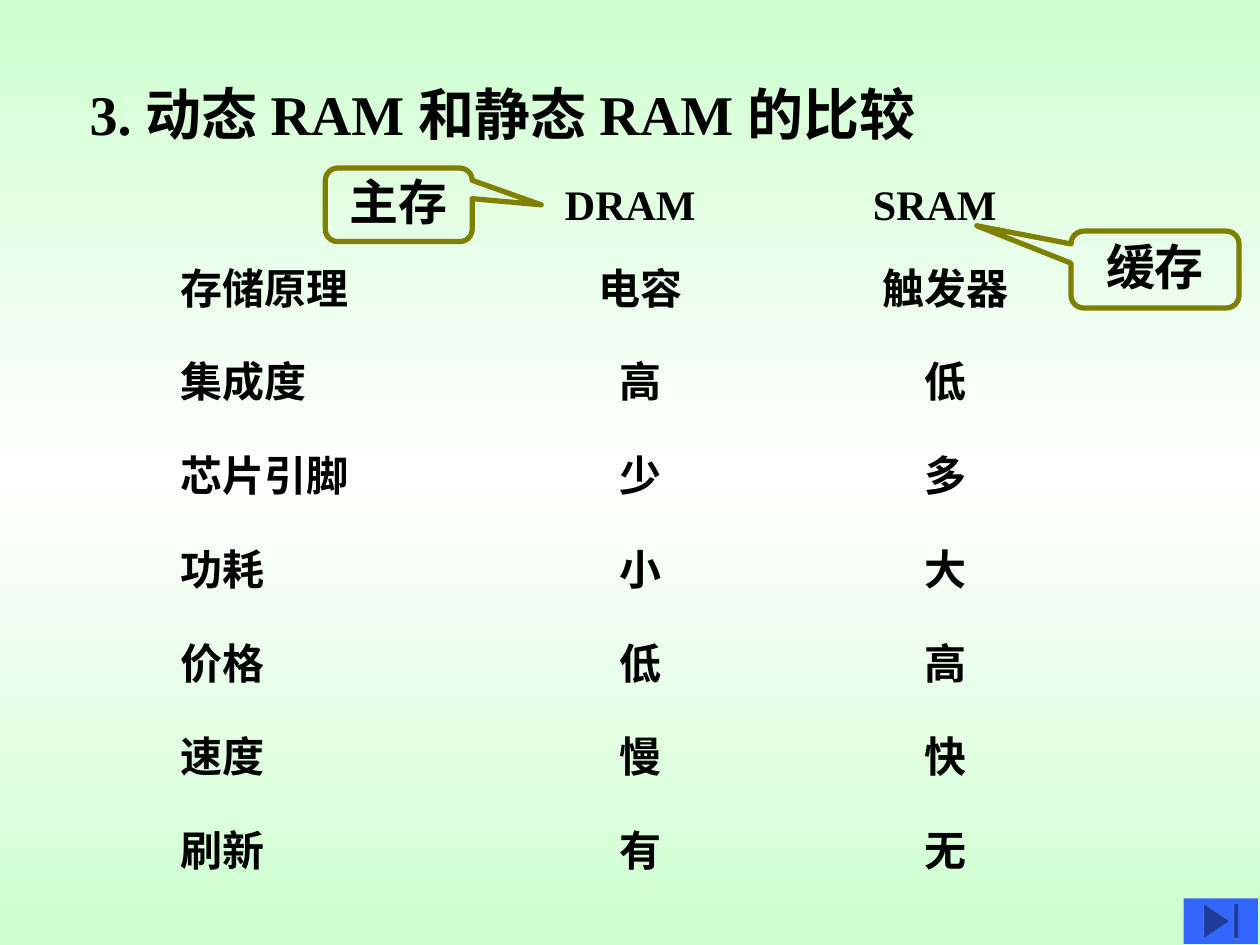
from copy import deepcopy
from dataclasses import dataclass

from pptx import Presentation
from pptx.dml.color import RGBColor
from pptx.enum.shapes import MSO_SHAPE as Preset
from pptx.enum.text import MSO_ANCHOR as Anchor, MSO_AUTO_SIZE as AutoSize, PP_ALIGN as Align
from pptx.oxml.ns import qn
from pptx.slide import Slide
from pptx.text.text import TextFrame
from pptx.util import Cm, Pt


@dataclass(frozen=True)
class Theme:
    font: str = "Times New Roman"
    ink: RGBColor = RGBColor(0x00, 0x00, 0x00)
    outline: RGBColor = RGBColor(0x80, 0x80, 0x00)
    button: RGBColor = RGBColor(0x33, 0x66, 0xFF)
    edge: RGBColor = RGBColor(0xCD, 0xFF, 0xCE)
    middle: RGBColor = RGBColor(0xFF, 0xFF, 0xFF)
    title_size: int = 32
    callout_size: int = 28
    body_size: int = 24
    outline_width: int = 3


@dataclass(frozen=True)
class Box:
    """A rectangle in centimetres."""
    left: float
    top: float
    width: float
    height: float

    def lengths(self) -> tuple:
        return Cm(self.left), Cm(self.top), Cm(self.width), Cm(self.height)


@dataclass(frozen=True)
class Callout:
    text: str
    box: Box
    tip: tuple[float, float]


@dataclass(frozen=True)
class Comparison:
    aspect: str
    dram: str
    sram: str


THEME = Theme()
TITLE = " 3. 动态 RAM 和静态 RAM 的比较"
TITLE_BOX = Box(1.27, 1.47, 19.05, 1.6)
COMPARISONS = [
    Comparison("存储原理", "电容", "触发器"),
    Comparison("集成度", "高", "低"),
    Comparison("芯片引脚", "少", "多"),
    Comparison("功耗", "小", "大"),
    Comparison("价格", "低", "高"),
    Comparison("速度", "慢", "快"),
    Comparison("刷新", "有", "无"),
]
CALLOUTS = [
    Callout("主存", Box(6.56, 3.39, 2.96, 1.48), (0.97, 0)),
    Callout("缓存", Box(21.59, 4.66, 3.39, 1.55), (-1.06, -0.57)),
]
BUTTON_BOX = Box(23.86, 18.11, 1.5, 0.92)

# Grid of the comparison, in centimetres
ASPECT_LEFT, DRAM_LEFT, SRAM_LEFT = 3.39, 9.53, 15.67
HEADER_SHIFT, HEADER_TOP = -0.21, 3.48
FIRST_ROW_TOP, ROW_PITCH = 5.16, 1.89
CELL_WIDTH, CELL_HEIGHT = 6.77, 1.27


def write(frame: TextFrame, text: str, *, size: int, align=Align.LEFT,
          anchor=Anchor.TOP, wrap: bool = True) -> None:
    """Write one bold line in the theme's font."""
    frame.word_wrap = wrap
    frame.auto_size = AutoSize.NONE
    frame.vertical_anchor = anchor
    paragraph = frame.paragraphs[0]
    paragraph.alignment = align
    run = paragraph.add_run()
    run.text = text
    run.font.name = THEME.font
    run.font.size = Pt(size)
    run.font.bold = True
    run.font.color.rgb = THEME.ink


def paint_background(slide: Slide) -> None:
    fill = slide.background.fill
    fill.gradient()
    fill.gradient_angle = 270
    stop_list = slide.element.find(".//" + qn("a:gsLst"))
    stop_list.append(deepcopy(stop_list[0]))
    colors = (THEME.edge, THEME.middle, THEME.edge)
    for stop, position, color in zip(fill.gradient_stops, (0, 0.5, 1), colors):
        stop.position = position
        stop.color.rgb = color


def add_title(slide: Slide) -> None:
    title = slide.shapes.title
    title.left, title.top, title.width, title.height = TITLE_BOX.lengths()
    write(title.text_frame, TITLE, size=THEME.title_size)


def add_cell(slide: Slide, text: str, left: float, top: float, align=Align.CENTER) -> None:
    box = Box(left, top, CELL_WIDTH, CELL_HEIGHT)
    shape = slide.shapes.add_textbox(*box.lengths())
    write(shape.text_frame, text, size=THEME.body_size, align=align)


def add_comparison(slide: Slide) -> None:
    for text, left in (("DRAM", DRAM_LEFT), ("SRAM", SRAM_LEFT)):
        add_cell(slide, text, left + HEADER_SHIFT, HEADER_TOP)
    for index, row in enumerate(COMPARISONS):
        top = FIRST_ROW_TOP + index * ROW_PITCH
        add_cell(slide, row.aspect, ASPECT_LEFT, top, Align.LEFT)
        add_cell(slide, row.dram, DRAM_LEFT, top)
        add_cell(slide, row.sram, SRAM_LEFT, top)


def add_callout(slide: Slide, callout: Callout) -> None:
    shape = slide.shapes.add_shape(Preset.ROUNDED_RECTANGULAR_CALLOUT, *callout.box.lengths())
    shape.shadow.inherit = False
    shape.adjustments[0], shape.adjustments[1] = callout.tip
    shape.fill.background()
    shape.line.color.rgb = THEME.outline
    shape.line.width = Pt(THEME.outline_width)
    # The deeper bottom margin lifts the text slightly above the centre
    shape.text_frame.margin_top, shape.text_frame.margin_bottom = Cm(0), Cm(0.15)
    write(shape.text_frame, callout.text, size=THEME.callout_size,
          align=Align.CENTER, anchor=Anchor.MIDDLE, wrap=False)


def add_button(slide: Slide) -> None:
    button = slide.shapes.add_shape(Preset.ACTION_BUTTON_END, *BUTTON_BOX.lengths())
    button.shadow.inherit = False
    button.fill.solid()
    button.fill.fore_color.rgb = THEME.button
    button.line.fill.background()


def main() -> None:
    presentation = Presentation()
    presentation.slide_width, presentation.slide_height = Cm(25.4), Cm(19.05)
    title_only = presentation.slide_layouts[5]
    slide = presentation.slides.add_slide(title_only)
    paint_background(slide)
    add_title(slide)
    add_comparison(slide)
    for callout in CALLOUTS:
        add_callout(slide, callout)
    add_button(slide)
    presentation.save("out.pptx")


if __name__ == "__main__":
    main()
